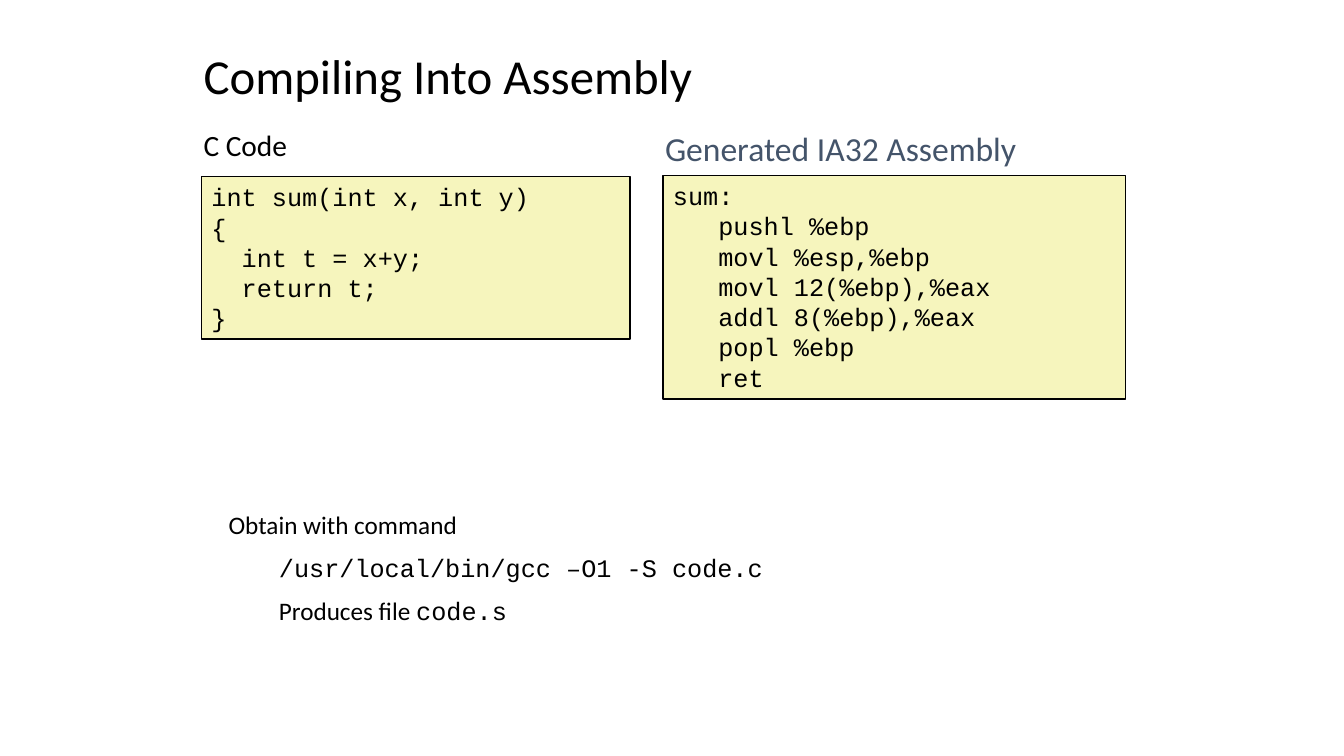
from pptx import Presentation
from pptx.dml.color import RGBColor as RGB
from pptx.enum.shapes import MSO_SHAPE as SHAPE
from pptx.enum.text import MSO_ANCHOR as ANCHOR, PP_ALIGN as ALIGN
from pptx.util import Cm, Pt

COLORS = {"ink": "000000", "slate": "44546A", "code": "F6F5BD"}
SANS, MONO = "Calibri", "Courier New"
CODE_PITCH = Pt(21.6)

C_CODE = """int sum(int x, int y)
{
  int t = x+y;
  return t;
}"""
ASSEMBLY = """sum:
   pushl %ebp
   movl %esp,%ebp
   movl 12(%ebp),%eax
   addl 8(%ebp),%eax
   popl %ebp
   ret"""


def set_frame(tf, anchor=ANCHOR.TOP):
    margins = {"margin_left": 0.25, "margin_right": 0.25,
               "margin_top": 0.13, "margin_bottom": 0.13}
    for name, value in margins.items():
        setattr(tf, name, Cm(value))
    tf.word_wrap = True
    tf.vertical_anchor = anchor


def add_line(tf, first, runs, size, color="ink", **fmt):
    """Write one paragraph from (text, font) runs."""
    p = tf.paragraphs[0] if first else tf.add_paragraph()
    for name, value in {"alignment": ALIGN.LEFT, **fmt}.items():
        setattr(p, name, value)
    for text, font in runs:
        r = p.add_run()
        r.text = text
        for name, value in {"name": font, "size": Pt(size)}.items():
            setattr(r.font, name, value)
        r.font.color.rgb = RGB.from_string(COLORS[color])
    return p


def add_label(s, box, text, size, color="ink", spacing=1.0, anchor=ANCHOR.TOP):
    tf = s.shapes.add_textbox(*map(Cm, box)).text_frame
    set_frame(tf, anchor)
    add_line(tf, True, [(text, SANS)], size, color, line_spacing=spacing)


def add_code(s, box, code):
    sp = s.shapes.add_shape(SHAPE.RECTANGLE, *map(Cm, box))
    sp.shadow.inherit = False
    sp.fill.solid()
    sp.fill.fore_color.rgb = RGB.from_string(COLORS["code"])
    sp.line.color.rgb = RGB.from_string(COLORS["ink"])
    sp.line.width = Pt(1)
    set_frame(sp.text_frame)
    for i, line in enumerate(code.split("\n")):
        add_line(sp.text_frame, i == 0, [(line, MONO)], 18,
                 line_spacing=CODE_PITCH)


def add_command(s, box):
    tf = s.shapes.add_textbox(*map(Cm, box)).text_frame
    set_frame(tf)
    lines = [[("Obtain with command", SANS)],
             [("/usr/local/bin/gcc –O1 -S code.c", MONO)],
             [("Produces file ", SANS), ("code.s", MONO)]]
    for i, runs in enumerate(lines):
        fmt = {"space_before": Pt(9)} if i else {}
        p = add_line(tf, i == 0, runs, 18, line_spacing=CODE_PITCH, **fmt)
        if i:
            p._p.get_or_add_pPr().set("marL", str(Cm(1.27)))


def main():
    prs = Presentation()
    prs.slide_width, prs.slide_height = Cm(33.87), Cm(19.05)
    s = prs.slides.add_slide(prs.slide_layouts[6])

    # Title
    add_label(s, (4.88, 1.22, 19.02, 1.55), "Compiling Into Assembly", 34.9,
              spacing=0.9, anchor=ANCHOR.MIDDLE)
    # C source
    add_label(s, (4.88, 3.18, 4.5, 1.02), "C Code", 21, spacing=0.9)
    add_code(s, (5.08, 4.45, 10.8, 4.09), C_CODE)
    # Generated assembly
    add_label(s, (16.51, 3.1, 11.43, 1.14), "Generated IA32 Assembly", 24, "slate")
    add_code(s, (16.71, 4.42, 11.66, 5.64), ASSEMBLY)
    # Compiler command
    add_command(s, (5.51, 12.7, 20.75, 3.33))

    prs.save("out.pptx")


if __name__ == "__main__":
    main()
